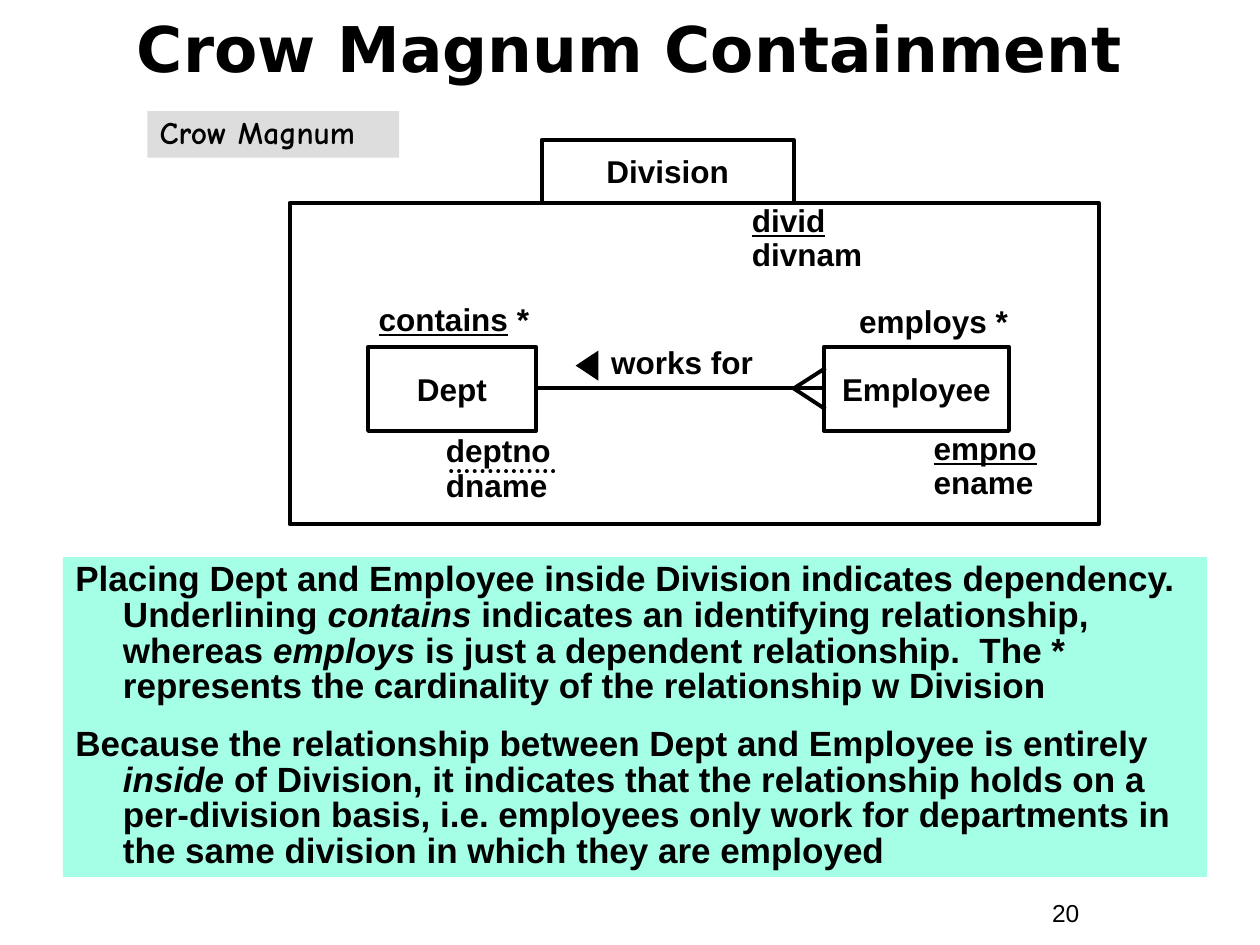
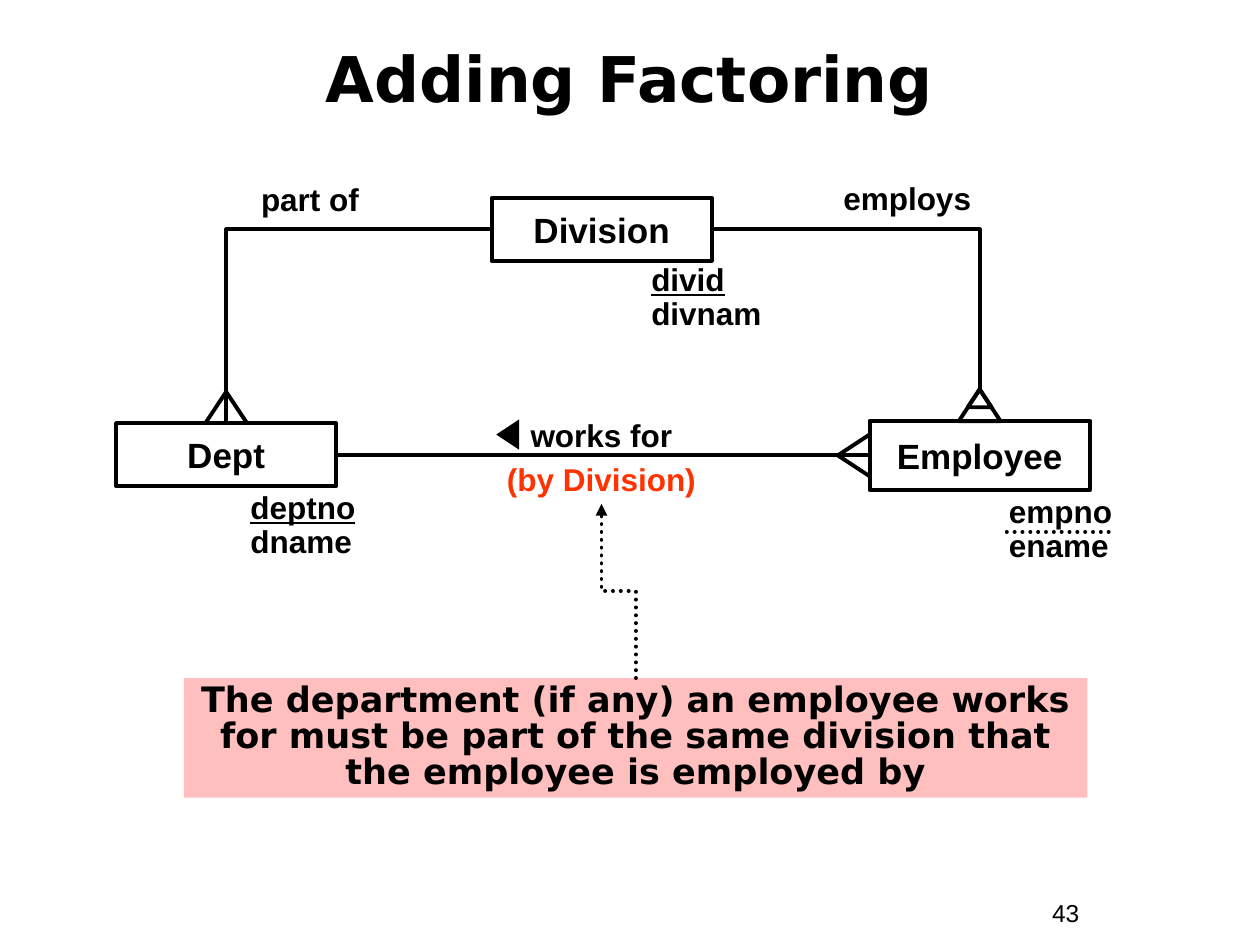
from pptx import Presentation
from pptx.dml.color import RGBColor
from pptx.enum.dml import MSO_LINE
from pptx.enum.shapes import MSO_CONNECTOR, MSO_SHAPE
from pptx.enum.text import MSO_ANCHOR, PP_ALIGN
from pptx.oxml.ns import qn
from pptx.util import Cm, Pt
from lxml.etree import SubElement

BLACK, RED = "000000", "FF3300"
MINT, GREY, PINK = "A5FFE7", "DDDDDD", "FFBFBF"
BODY_FONT, TITLE_FONT, TAG_FONT = "Arial", "DejaVu Sans", "Comic Neue"
LINE_WIDTH = Pt(2.25)
LABEL = {"name": BODY_FONT, "size": Pt(18), "bold": True}
LARGE = {**LABEL, "size": Pt(20)}
TITLE = {"name": TITLE_FONT, "size": Pt(36), "bold": True}
NUMBER = {"name": BODY_FONT, "size": Pt(14)}
UNDERLINED, ITALIC = {"underline": True}, {"italic": True}
BREAK = "\n"
TOP, BOTTOM, RIGHT = 0, 2, 3  # connection sites


def color(hex_value):
    return RGBColor.from_string(hex_value)


def lengths(*values):
    return [Cm(value) for value in values]


def write(shape, paragraphs, font, align=PP_ALIGN.CENTER, spacing=1.0,
          anchor=MSO_ANCHOR.TOP, wrap=True, gap=0, hanging=0):
    """Fill a shape with paragraphs, each a string or a list of (text, format) runs."""
    frame = shape.text_frame
    frame.word_wrap = wrap
    frame.vertical_anchor = anchor
    for index, runs in enumerate(paragraphs):
        paragraph = frame.add_paragraph() if index else frame.paragraphs[0]
        paragraph.alignment = align
        paragraph.line_spacing = spacing
        if index and gap:
            paragraph.space_before = Pt(gap)
        if hanging:
            properties = paragraph._p.get_or_add_pPr()
            properties.set("marL", str(Cm(hanging)))
            properties.set("indent", str(-Cm(hanging)))
        for text, changes in [(runs, {})] if isinstance(runs, str) else runs:
            if text == BREAK:
                paragraph.add_line_break()
                continue
            run = paragraph.add_run()
            run.text = text
            formats = {"color": BLACK, **font, **changes}
            run.font.color.rgb = color(formats.pop("color"))
            for name, value in formats.items():
                setattr(run.font, name, value)


def add_text(slide, box, paragraphs, font=LABEL, **layout):
    text_box = slide.shapes.add_textbox(*lengths(*box))
    write(text_box, paragraphs, font, **layout)
    return text_box


def add_outline(slide, box, kind=MSO_SHAPE.RECTANGLE):
    shape = slide.shapes.add_shape(kind, *lengths(*box))
    shape.shadow.inherit = False
    shape.fill.background()
    shape.line.color.rgb = color(BLACK)
    shape.line.width = LINE_WIDTH
    return shape


def add_filled(slide, box, fill, kind=MSO_SHAPE.RECTANGLE):
    shape = slide.shapes.add_shape(kind, *lengths(*box))
    shape.shadow.inherit = False
    shape.fill.solid()
    shape.fill.fore_color.rgb = color(fill)
    shape.line.fill.background()
    return shape


def add_entity(slide, box, name, font=LABEL):
    entity = add_outline(slide, box)
    write(entity, [name], font, anchor=MSO_ANCHOR.MIDDLE, wrap=False)
    return entity


def add_attributes(slide, left, top, key, other, key_format=UNDERLINED):
    add_text(slide, (left, top, 3.02, 1.63), [[(key, key_format)], other],
             align=PP_ALIGN.LEFT, spacing=0.9)


def add_reading_arrow(slide, left, top):
    """Small solid triangle that points left, beside a relationship name."""
    arrow = add_filled(slide, (left, top, 0.61, 0.46), BLACK, MSO_SHAPE.ISOSCELES_TRIANGLE)
    arrow.rotation = 270


def style_connector(connector, dotted=False):
    connector.line.color.rgb = color(BLACK)
    connector.line.width = LINE_WIDTH
    if dotted:
        connector.line.dash_style = MSO_LINE.ROUND_DOT
        connector.line._get_or_add_ln().set("cap", "rnd")
    SubElement(connector._element.spPr, qn("a:effectLst"))


def add_line(slide, start, end, dotted=False):
    connector = slide.shapes.add_connector(
        MSO_CONNECTOR.STRAIGHT, *lengths(*start, *end))
    style_connector(connector, dotted)


def add_crow_foot(slide, apex, toes):
    for toe in toes:
        add_line(slide, apex, toe)


def add_elbow(slide, source, source_site, target, target_site, dotted=False):
    connector = slide.shapes.add_connector(MSO_CONNECTOR.ELBOW, 0, 0, 0, 0)
    connector.begin_connect(source, source_site)
    connector.end_connect(target, target_site)
    style_connector(connector, dotted)
    return connector


def make_single_bend(connector):
    connector._element.spPr.find(qn("a:prstGeom")).set("prst", "bentConnector2")


def make_upward(connector):
    """Turn a two-bend connector so that it leaves and arrives vertically."""
    left, top, width, height = (connector.left, connector.top,
                                connector.width, connector.height)
    shift = (width - height) // 2
    connector.left, connector.top = left + shift, top - shift
    connector.width, connector.height = height, width
    transform = connector._element.spPr.find(qn("a:xfrm"))
    for name, value in {"rot": "16200000", "flipH": "0", "flipV": "1"}.items():
        transform.set(name, value)


def add_slide(presentation, title, title_box, number):
    slide = presentation.slides.add_slide(presentation.slide_layouts[6])
    add_text(slide, (20.96, 17.98, 2.34, 0.86), [number], NUMBER, align=PP_ALIGN.LEFT)
    add_text(slide, title_box, [title], TITLE, anchor=MSO_ANCHOR.MIDDLE)
    return slide


def build_containment(presentation):
    slide = add_slide(presentation, "Crow Magnum Containment", (0.84, 0, 23.7, 1.9), "20")
    add_entity(slide, (10.92, 2.82, 5.08, 1.27), "Division")
    add_outline(slide, (5.84, 4.09, 16.31, 6.48))
    explanation = add_filled(slide, (1.27, 11.23, 23.06, 6.45), MINT)
    write(explanation, [
        [("Placing Dept and Employee inside Division indicates dependency.  Underlining ", {}),
         ("contains", ITALIC),
         (" indicates an identifying relationship, whereas ", {}),
         ("employs", ITALIC),
         (" is just a dependent relationship.  The * represents the cardinality of the "
          "relationship w Division", {})],
        [("Because the relationship between Dept and Employee is entirely ", {}),
         ("inside", ITALIC),
         (" of Division, it indicates that the relationship holds on a per-division basis, "
          "i.e. employees only work for departments in the same division in which they are "
          "employed", {})],
    ], LARGE, align=PP_ALIGN.LEFT, spacing=0.85, gap=12.5, hanging=0.96)
    tag = add_filled(slide, (2.97, 2.24, 5.08, 0.94), GREY)
    write(tag, ["Crow Magnum"], {**LABEL, "name": TAG_FONT},
          align=PP_ALIGN.LEFT, spacing=0.9)

    add_attributes(slide, 14.91, 4.01, "divid", "divnam")
    add_text(slide, (16.76, 5.97, 3.81, 1.02), ["employs *"], align=PP_ALIGN.RIGHT)
    add_text(slide, (6.43, 5.92, 5.44, 1.02), [[("contains", UNDERLINED), (" *", {})]])
    add_entity(slide, (7.42, 6.99, 3.38, 1.7), "Dept")
    add_entity(slide, (16.61, 6.99, 3.73, 1.7), "Employee")
    add_line(slide, (16.59, 7.83), (10.85, 7.83))
    add_crow_foot(slide, (16, 7.83), [(16.64, 7.42), (16.64, 8.25)])
    add_attributes(slide, 8.74, 8.66, "deptno", "dname", {})
    add_line(slide, (11.15, 9.5), (9.02, 9.5), dotted=True)
    add_attributes(slide, 18.57, 8.61, "empno", "ename")
    add_text(slide, (11.63, 6.91, 4.24, 0.91), ["works for"], spacing=0.85)
    add_reading_arrow(slide, 11.53, 7.14)


def build_factoring(presentation):
    slide = add_slide(presentation, "Adding Factoring", (0.51, 0.38, 24.36, 2.34), "43")
    add_entity(slide, (17.53, 8.48, 4.44, 1.4), "Employee", LARGE)
    division = add_entity(slide, (9.91, 3.99, 4.44, 1.27), "Division", LARGE)
    dept = add_entity(slide, (2.34, 8.53, 4.44, 1.27), "Dept", LARGE)
    foot = add_outline(slide, (19.33, 7.85, 0.84, 0.64), MSO_SHAPE.ISOSCELES_TRIANGLE)
    add_outline(slide, (19.51, 7.85, 0.48, 0.36), MSO_SHAPE.ISOSCELES_TRIANGLE)
    make_single_bend(add_elbow(slide, division, RIGHT, foot, TOP))
    make_single_bend(add_elbow(slide, division, 1, dept, TOP))
    add_crow_foot(slide, (16.89, 9.18), [(17.53, 8.76), (17.53, 9.6)])
    add_line(slide, (17.5, 9.18), (6.8, 9.18))
    add_crow_foot(slide, (4.56, 7.9), [(4.98, 8.53), (4.14, 8.53)])

    add_text(slide, (15.93, 3.61, 4.72, 0.91), ["employs"], spacing=0.85)
    add_text(slide, (3.89, 3.63, 4.72, 0.91), ["part of"], spacing=0.85)
    add_reading_arrow(slide, 9.93, 8.53)
    add_attributes(slide, 12.88, 5.21, "divid", "divnam")
    add_attributes(slide, 4.8, 9.8, "deptno", "dname")
    add_attributes(slide, 20.09, 9.88, "empno", "ename", {})
    add_line(slide, (22.35, 10.72), (20.24, 10.72), dotted=True)
    works_for = add_text(
        slide, (9.32, 8.15, 5.61, 2.01),
        [[("works for", {}), (BREAK, {}), ("(by Division)", {"color": RED})]], spacing=1.15)
    rule = add_filled(slide, (3.71, 13.67, 18.21, 2.41), PINK)
    write(rule, ["The department (if any) an employee works for must be part of the same "
                 "division that the employee is employed by"],
          {**LARGE, "name": TITLE_FONT}, spacing=0.85)
    pointer = add_elbow(slide, rule, TOP, works_for, BOTTOM, dotted=True)
    make_upward(pointer)
    SubElement(pointer.line._get_or_add_ln(), qn("a:tailEnd"), type="triangle")


def main():
    presentation = Presentation()
    presentation.slide_width, presentation.slide_height = lengths(25.4, 19.05)
    build_containment(presentation)
    build_factoring(presentation)
    presentation.save("out.pptx")


if __name__ == "__main__":
    main()
